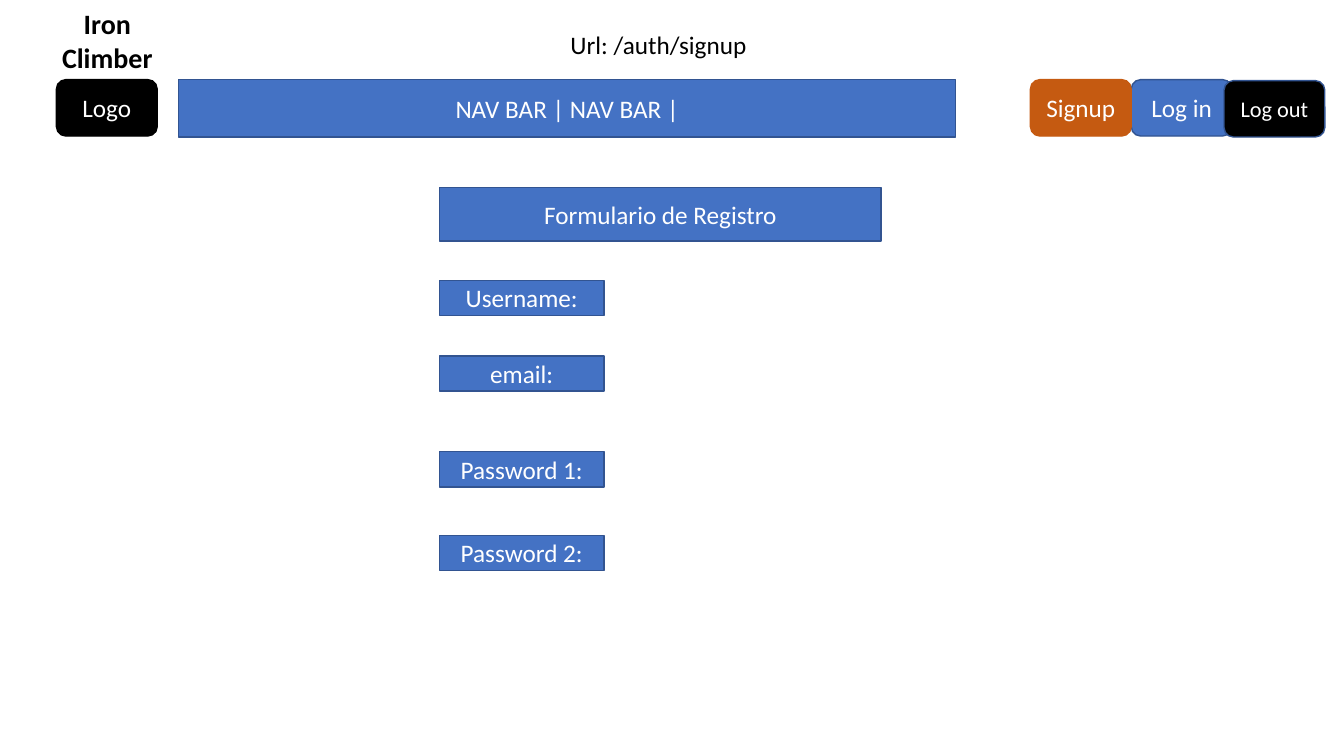
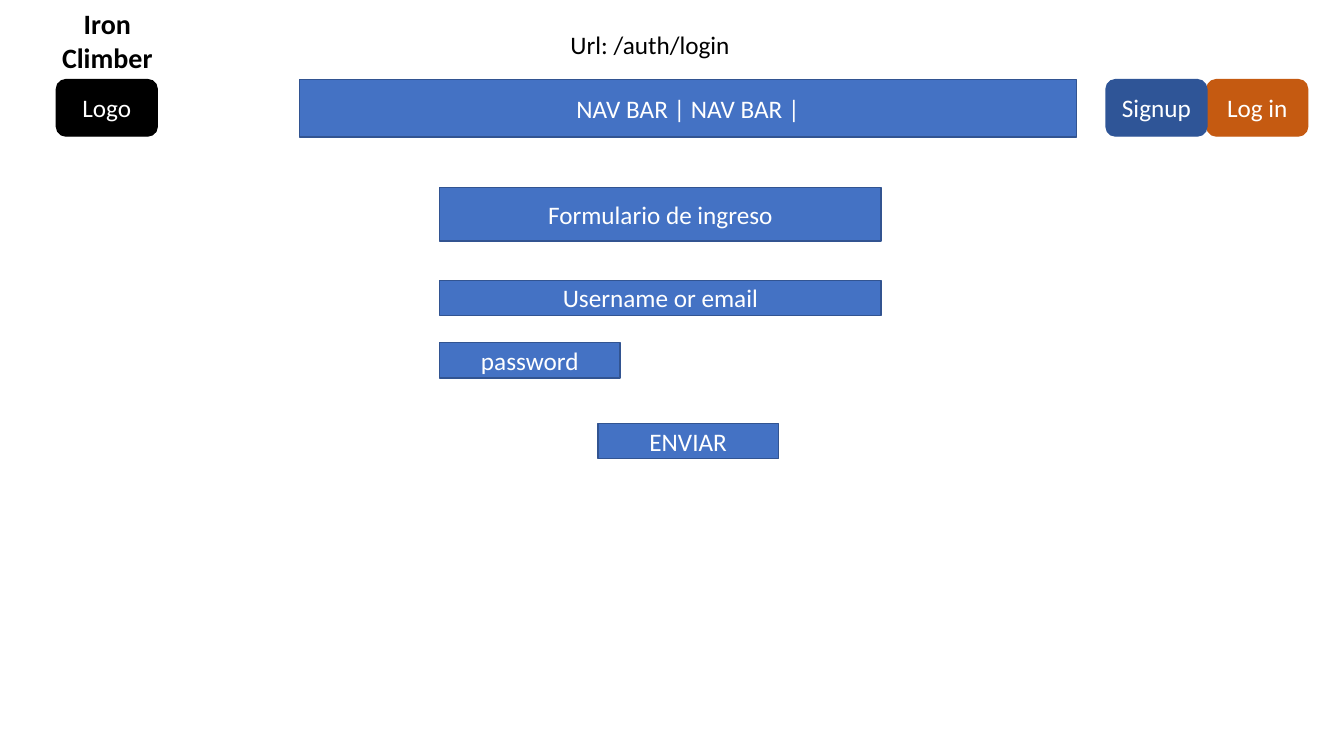
from pptx import Presentation
from pptx.dml.color import RGBColor
from pptx.enum.shapes import MSO_SHAPE as SHAPE
from pptx.enum.text import MSO_ANCHOR as ANCHOR, MSO_AUTO_SIZE as AUTO, PP_ALIGN as ALIGN
from pptx.util import Emu, Pt

# Colours
BLUE = RGBColor(0x44, 0x72, 0xC4)
BLUE_EDGE = RGBColor(0x32, 0x54, 0x91)
NAVY = RGBColor(0x2F, 0x55, 0x97)
ORANGE = RGBColor(0xC5, 0x5A, 0x11)
BLACK = RGBColor(0, 0, 0)
WHITE = RGBColor(255, 255, 255)

# Geometry: 100 px to the inch
SCALE = 9144
BAR_TOP = 79
BUTTON_W, BUTTON_H = 100, 56
FORM_X, FORM_W = 436, 438
FIELD_H = 35


def px(n):
    return Emu(n * SCALE)


class Wireframe:
    """Page style and the slide being drawn."""

    font = "Calibri"

    def __init__(self):
        self.prs = Presentation()
        self.prs.slide_width, self.prs.slide_height = px(1333), px(750)
        self.s = None

    def set_text(self, tf, text, size, color, align, bold=False):
        tf.text = text
        for p in tf.paragraphs:
            p.alignment = align
            for r in p.runs:
                r.font.name, r.font.size = self.font, Pt(size)
                r.font.bold, r.font.color.rgb = bold, color

    def box(self, text, x, y, w, h, fill=BLUE, edge=BLUE_EDGE, size=18, kind=SHAPE.RECTANGLE):
        sp = self.s.shapes.add_shape(kind, px(x), px(y), px(w), px(h))
        sp.shadow.inherit = False
        sp.fill.solid()
        sp.fill.fore_color.rgb = fill
        sp.line.color.rgb, sp.line.width = edge, Pt(1)
        sp.text_frame.vertical_anchor = ANCHOR.MIDDLE
        self.set_text(sp.text_frame, text, size, WHITE, ALIGN.CENTER)

    def button(self, text, x, fill, edge=None, y=BAR_TOP, size=18):
        self.box(text, x, y, BUTTON_W, BUTTON_H, fill, edge or fill, size,
                 SHAPE.ROUNDED_RECTANGLE)

    def field(self, text, y, w, x=FORM_X):
        self.box(text, x, y, w, FIELD_H)

    def label(self, text, x, y, w, h, size=18, align=ALIGN.LEFT, bold=False):
        tf = self.s.shapes.add_textbox(px(x), px(y), px(w), px(h)).text_frame
        tf.word_wrap = False
        tf.auto_size = AUTO.SHAPE_TO_FIT_TEXT
        self.set_text(tf, text, size, BLACK, align, bold)

    def page(self, url, url_w, nav_x, form_title):
        """Start a slide with the header and form title."""
        self.s = self.prs.slides.add_slide(self.prs.slide_layouts[6])
        self.label("Iron\nClimber", 51, 2, 111, 77, 20, ALIGN.CENTER, True)
        self.button("Logo", 56, BLACK)
        self.label(f"Url: {url}", 556, 24, url_w, 40)
        self.box("NAV BAR | NAV BAR |", nav_x, BAR_TOP, 771, 57)
        self.box(form_title, FORM_X, 186, FORM_W, 53)


def main():
    wf = Wireframe()

    # Signup page
    wf.page("/auth/signup", 197, 177, "Formulario de Registro")
    wf.button("Log in", 1122, BLUE, BLUE_EDGE)
    wf.button("Signup", 1022, ORANGE)
    wf.button("Log out", 1214, BLACK, BLUE_EDGE, y=80, size=16)
    for text, y in (("Username:", 278), ("email:", 353),
                    ("Password 1:", 448), ("Password 2:", 531)):
        wf.field(text, y, 163)

    # Login page
    wf.page("/auth/login", 180, 297, "Formulario de ingreso")
    wf.button("Log in", 1197, ORANGE)
    wf.button("Signup", 1097, NAVY)
    wf.field("Username or email", 278, FORM_W)
    wf.field("password", 340, 179)
    wf.field("ENVIAR", 420, 179, x=593)

    wf.prs.save("out.pptx")


if __name__ == "__main__":
    main()
